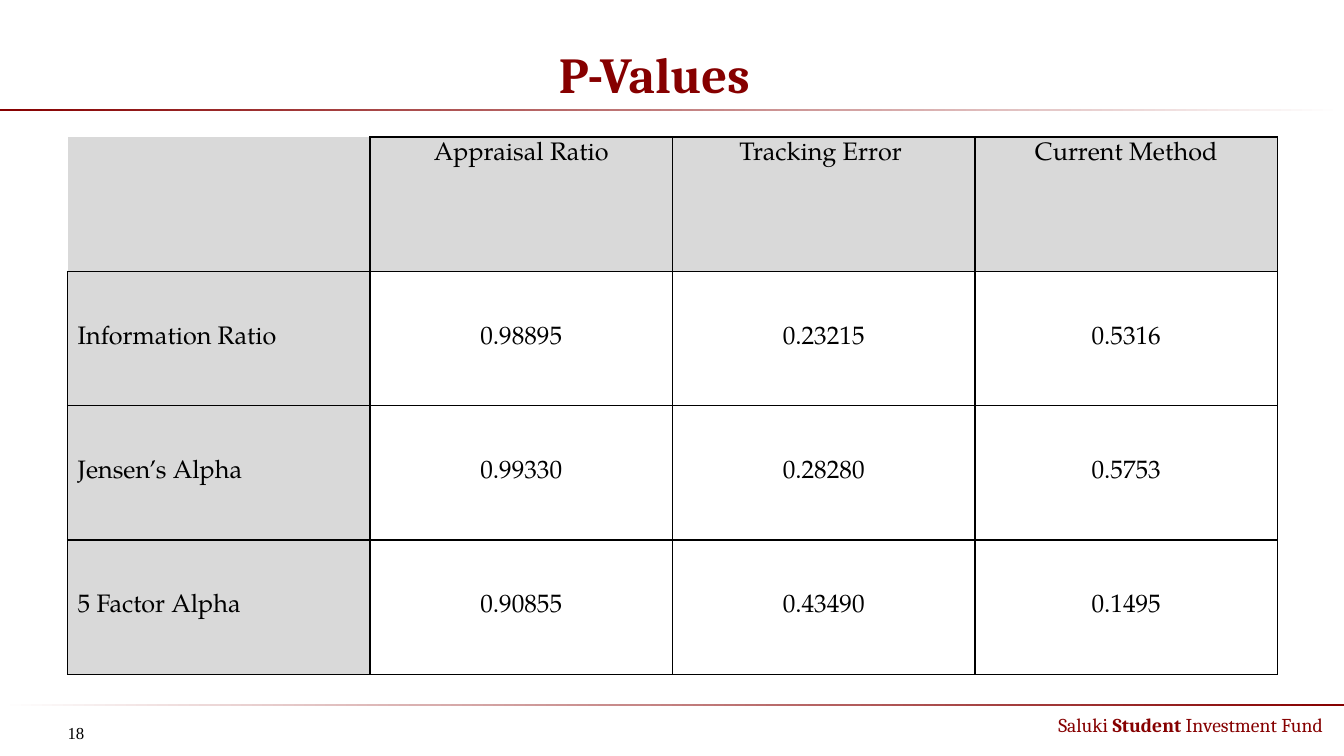
from lxml import etree
from pptx import Presentation
from pptx.dml.color import RGBColor
from pptx.enum import shapes, text
from pptx.oxml import ns
from pptx.util import Inches, Pt

TITLE = "P-Values"
FOOTER = [("Saluki ", False), ("Student ", True), ("Investment Fund", False)]
PAGE = "18"
ROWS = [
    ("", "Appraisal Ratio", "Tracking Error ", "Current Method"),
    ("Information Ratio", "0.98895", "0.23215", "0.5316"),
    ("Jensen’s Alpha", "0.99330", "0.28280", "0.5753"),
    ("5 Factor Alpha", "0.90855", "0.43490", "0.1495"),
]
MAROON = RGBColor(0x86, 0x00, 0x00)
WHITE = RGBColor(0xFF, 0xFF, 0xFF)
BLACK = RGBColor(0x00, 0x00, 0x00)
GRAY = RGBColor(0xD9, 0xD9, 0xD9)
WIDTH, HEIGHT = 13.33, 7.5
RULES = [(1.08, 0), (6.98, 180)]  # top, gradient angle
TABLE = (0.67, 1.36, 12, 5.33)


def inches(box):
    return [Inches(v) for v in box]


def add_text(s, box, runs, font, size, color, align, anchor):
    """Add a one-line text box; runs are (text, bold) pairs."""
    tf = s.shapes.add_textbox(*inches(box)).text_frame
    tf.word_wrap = True
    tf.vertical_anchor = anchor
    p = tf.paragraphs[0]
    p.alignment = align
    for words, bold in runs:
        r = p.add_run()
        r.text = words
        r.font.name, r.font.size, r.font.bold = font, Pt(size), bold
        r.font.color.rgb = color
    return tf


def add_rule(s, top, angle):
    """Add a thin full-width bar fading from maroon to white."""
    sp = s.shapes.add_shape(shapes.MSO_SHAPE.RECTANGLE, *inches((0, top, WIDTH, 0.02)))
    sp.shadow.inherit = False
    sp.line.fill.background()
    sp.fill.gradient()
    sp.fill.gradient_angle = angle
    for stop, color, position in zip(sp.fill.gradient_stops, (MAROON, WHITE), (0, 1)):
        stop.color.rgb = color
        stop.position = position


def set_borders(cell, drawn):
    """Draw the named sides in black and clear the others."""
    tc_pr = cell._tc.get_or_add_tcPr()
    for side in "LRTB":
        ln = etree.SubElement(tc_pr, ns.qn(f"a:ln{side}"), w=str(Pt(1)))
        if side in drawn:
            fill = etree.SubElement(ln, ns.qn("a:solidFill"))
            etree.SubElement(fill, ns.qn("a:srgbClr"), val=str(BLACK))
        else:
            etree.SubElement(ln, ns.qn("a:noFill"))


def add_values_table(s):
    table = s.shapes.add_table(len(ROWS), len(ROWS[0]), *inches(TABLE)).table
    table.first_row = table.horz_banding = False
    for i, row in enumerate(ROWS):
        for j, value in enumerate(row):
            cell = table.cell(i, j)
            set_borders(cell, "LRTB" if i or j else "RB")
            if i and j:
                cell.fill.background()
            else:
                cell.fill.solid()
                cell.fill.fore_color.rgb = GRAY
            cell.vertical_anchor = text.MSO_ANCHOR.MIDDLE if i else text.MSO_ANCHOR.TOP
            cell.text = value
            p = cell.text_frame.paragraphs[0]
            p.alignment = text.PP_ALIGN.CENTER if j else text.PP_ALIGN.LEFT
            for r in p.runs:
                r.font.name, r.font.size = "TeX Gyre Pagella", Pt(18)
                r.font.color.rgb = BLACK


def main():
    prs = Presentation()
    prs.slide_width, prs.slide_height = Inches(WIDTH), Inches(HEIGHT)
    s = prs.slides.add_slide(prs.slide_layouts[6])
    for top, angle in RULES:
        add_rule(s, top, angle)
    add_text(s, (9, 7.02, 4.22, 0.4), FOOTER, "Cambria", 14, MAROON,
             text.PP_ALIGN.RIGHT, text.MSO_ANCHOR.TOP)
    page = add_text(s, (0.67, 7.02, 1.11, 0.4), [(PAGE, False)], "Times New Roman", 12,
                    BLACK, text.PP_ALIGN.LEFT, text.MSO_ANCHOR.BOTTOM)
    page.margin_left = page.margin_right = 0
    add_text(s, (0.49, 0.16, 12, 0.92), [(TITLE, True)], "Cambria", 36, MAROON,
             text.PP_ALIGN.CENTER, text.MSO_ANCHOR.BOTTOM)
    add_values_table(s)
    prs.save("out.pptx")


if __name__ == "__main__":
    main()
